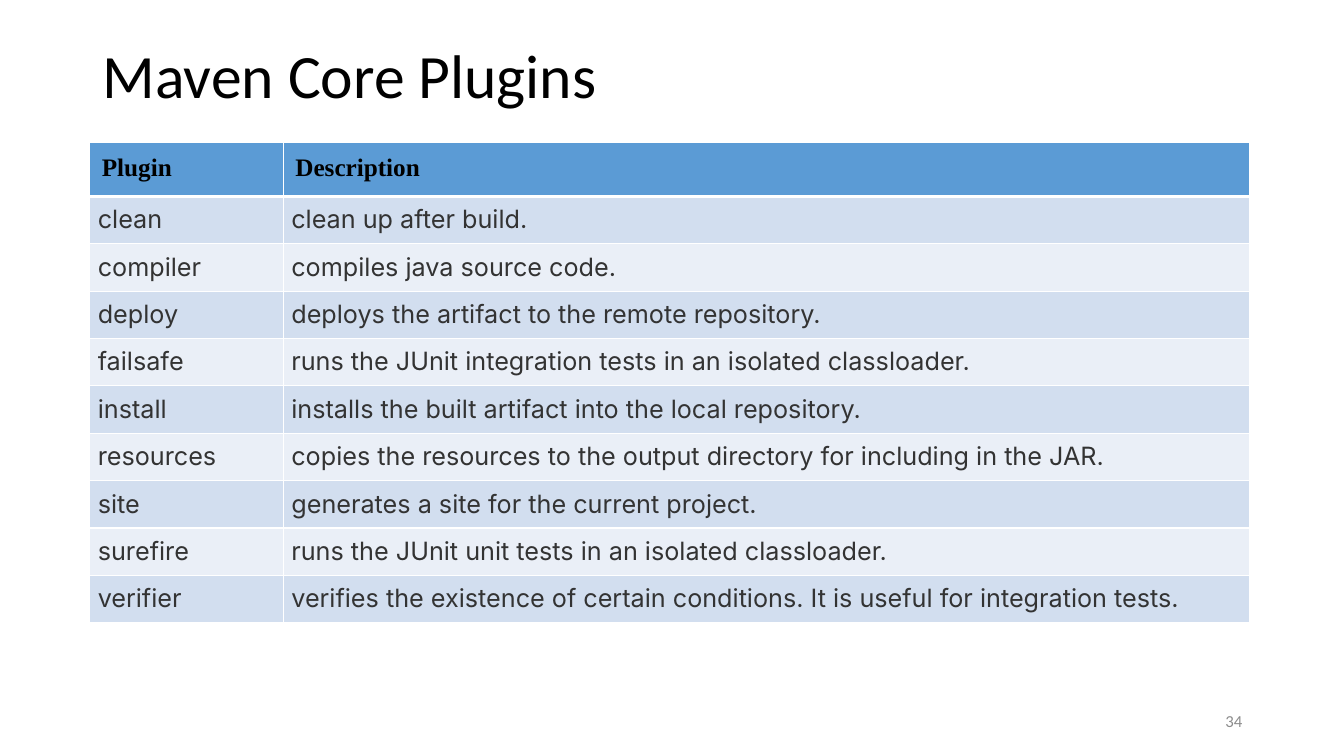
from lxml.etree import SubElement
from pptx import Presentation
from pptx.dml.color import RGBColor
from pptx.enum.text import MSO_ANCHOR, PP_ALIGN
from pptx.oxml.ns import qn
from pptx.util import Inches, Pt

COLORS = {
    "black": "000000",
    "body": "333333",
    "number": "8C8C8C",
    "border": "FFFFFF",
    "header": "5B9BD5",
    "odd": "D2DEEF",
    "even": "EAEFF7",
}
TITLE = {"name": "Calibri", "size": Pt(44), "bold": False}
NUMBER = {"name": "Calibri", "size": Pt(12), "bold": False}
HEADER = {"name": "Times New Roman", "size": Pt(18), "bold": True}
BODY = {"name": "Inter", "size": Pt(18), "bold": False}

PLUGINS = [
    ("Plugin", "Description"),
    ("clean", "clean up after build."),
    ("compiler", "compiles java source code."),
    ("deploy", "deploys the artifact to the remote repository."),
    ("failsafe", "runs the JUnit integration tests in an isolated classloader."),
    ("install", "installs the built artifact into the local repository."),
    ("resources", "copies the resources to the output directory for including in the JAR."),
    ("site", "generates a site for the current project."),
    ("surefire", "runs the JUnit unit tests in an isolated classloader."),
    ("verifier", "verifies the existence of certain conditions. It is useful for integration tests."),
]


def write_text(text_frame, text, font_format, color, alignment):
    paragraph = text_frame.paragraphs[0]
    paragraph.alignment = alignment
    run = paragraph.add_run()
    run.text = text
    for attribute, value in font_format.items():
        setattr(run.font, attribute, value)
    run.font.color.rgb = RGBColor.from_string(COLORS[color])
    return paragraph


def add_border(cell, side, width):
    line = SubElement(cell._tc.get_or_add_tcPr(), qn(f"a:{side}"), w=str(Pt(width)))
    fill = SubElement(line, qn("a:solidFill"))
    SubElement(fill, qn("a:srgbClr"), val=COLORS["border"])


presentation = Presentation()
presentation.slide_width = Inches(13.33)
presentation.slide_height = Inches(7.5)
slide = presentation.slides.add_slide(presentation.slide_layouts[6])

title = slide.shapes.add_textbox(Inches(0.92), Inches(0.4), Inches(11.5), Inches(1.45))
title.text_frame.word_wrap = True
title.text_frame.vertical_anchor = MSO_ANCHOR.TOP
title_paragraph = write_text(title.text_frame, "Maven Core Plugins", TITLE, "black", PP_ALIGN.LEFT)
title_paragraph.line_spacing = 0.9

table = slide.shapes.add_table(
    len(PLUGINS), 2, Inches(0.89), Inches(1.41), Inches(11.5), Inches(4.75)
).table
for column, width in zip(table.columns, (1.92, 9.58)):
    column.width = Inches(width)

for row_index, texts in enumerate(PLUGINS):
    is_header = row_index == 0
    table.rows[row_index].height = Inches(0.52 if is_header else 0.47)
    margin = Inches(0.12 if is_header else 0.08)
    if is_header:
        fill_color = "header"
    else:
        fill_color = "odd" if row_index % 2 else "even"
    border_widths = {
        "lnL": 1,
        "lnR": 1,
        "lnT": 3 if row_index == 1 else 1,
        "lnB": 3 if is_header else 1,
    }
    for column_index, text in enumerate(texts):
        cell = table.cell(row_index, column_index)
        for side in ("left", "top", "right", "bottom"):
            setattr(cell, f"margin_{side}", margin)
        for side, width in border_widths.items():
            add_border(cell, side, width)
        cell.fill.solid()
        cell.fill.fore_color.rgb = RGBColor.from_string(COLORS[fill_color])
        write_text(
            cell.text_frame,
            text,
            HEADER if is_header else BODY,
            "black" if is_header else "body",
            PP_ALIGN.LEFT if is_header else PP_ALIGN.JUSTIFY,
        )

number = slide.shapes.add_textbox(Inches(9.42), Inches(6.95), Inches(3), Inches(0.4))
number.text_frame.word_wrap = True
number.text_frame.vertical_anchor = MSO_ANCHOR.MIDDLE
write_text(number.text_frame, "34", NUMBER, "number", PP_ALIGN.RIGHT)

presentation.save("out.pptx")
